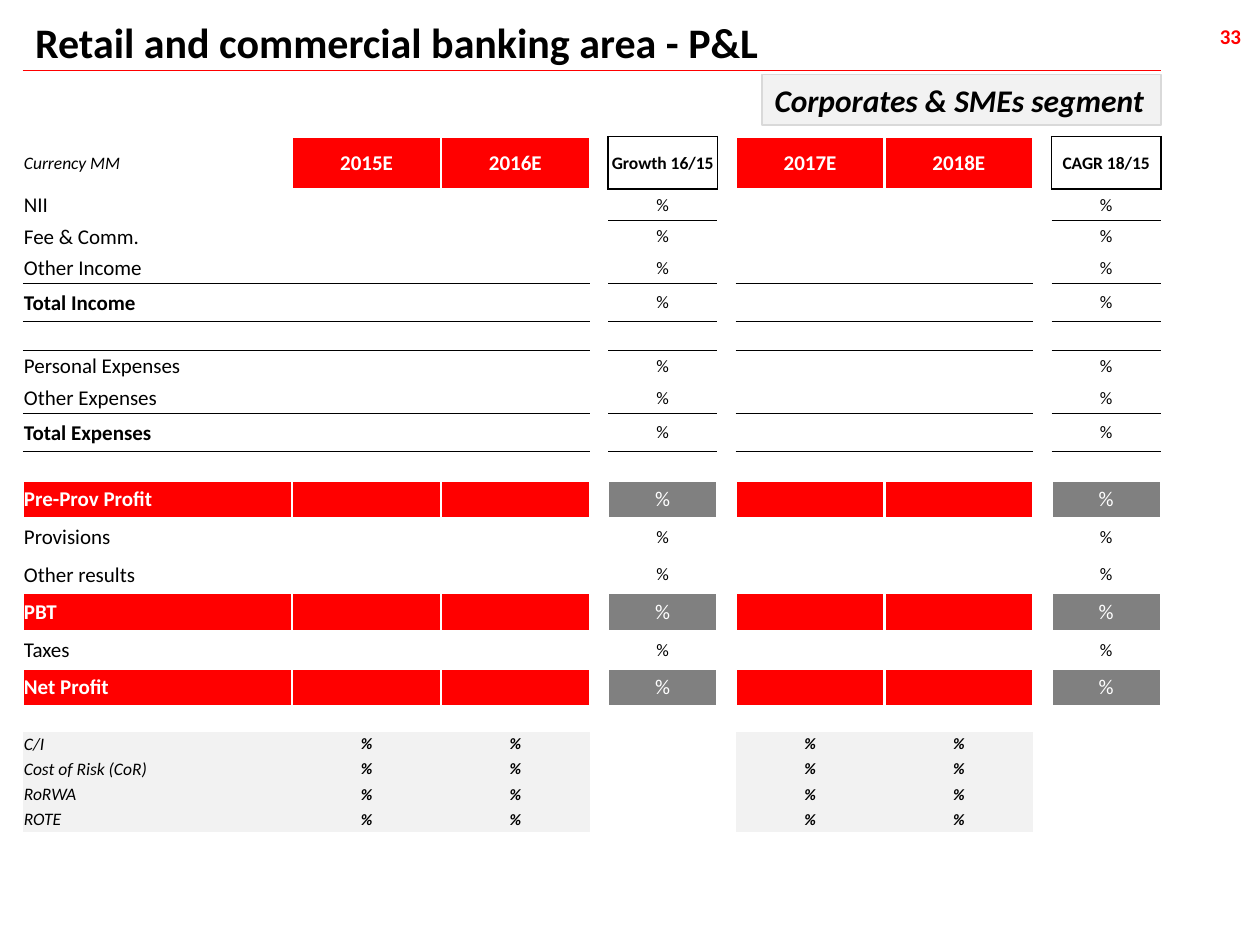
import pptx
import pptx.util
import pptx.dml.color
import pptx.enum.shapes
import pptx.enum.text
import pptx.oxml.ns
import lxml.etree

Pt = pptx.util.Pt
RGBColor = pptx.dml.color.RGBColor
ALIGN = pptx.enum.text.PP_ALIGN
ANCHOR = pptx.enum.text.MSO_ANCHOR
qn = pptx.oxml.ns.qn

RED = RGBColor(0xFF, 0x00, 0x00)
BLACK = RGBColor(0x00, 0x00, 0x00)
WHITE = RGBColor(0xFF, 0xFF, 0xFF)
GREY = RGBColor(0x80, 0x80, 0x80)
LIGHT = RGBColor(0xF2, 0xF2, 0xF2)
EDGE = RGBColor(0xD9, 0xD9, 0xD9)
FONT = "Calibri"
NO_STYLE = "{2D5ABB26-0587-4C30-8999-92F81FD0307C}"

LEFT, RIGHT = 13, 663.5
LABEL, YEARS, RATES = 0, (1, 2, 6, 7), (4, 9)
COL_WIDTHS = [154, 85, 85, 10.5, 62.5, 10.5, 85, 85, 10.5, 62.5]
HEADS = {1: "2015E", 2: "2016E", 4: "Growth 16/15",
         6: "2017E", 7: "2018E", 9: "CAGR 18/15"}

# Row kind, height, label
ROWS = [
    ("head", 30, "Currency MM"),
    ("item", 18, "NII"),
    ("item", 18, "Fee & Comm."),
    ("item", 18, "Other Income"),
    ("total", 21.5, "Total Income"),
    ("gap", 16.8, ""),
    ("item", 18, "Personal Expenses"),
    ("item", 18, "Other Expenses"),
    ("total", 21.5, "Total Expenses"),
    ("gap", 16.8, ""),
    ("profit", 21.5, "Pre-Prov Profit"),
    ("item", 21.5, "Provisions"),
    ("item", 21.5, "Other results"),
    ("profit", 21.5, "PBT"),
    ("item", 21.5, "Taxes"),
    ("profit", 21.5, "Net Profit"),
    ("gap", 14.4, ""),
    ("ratio", 14.4, "C/I"),
    ("ratio", 14.4, "Cost of Risk (CoR)"),
    ("ratio", 14.4, "RoRWA"),
    ("ratio", 14.4, "ROTE"),
]

# Side: row step, column step, matching side of the neighbour
SIDES = {"L": (0, -1, "R"), "R": (0, 1, "L"), "T": (-1, 0, "B"), "B": (1, 0, "T")}


def add_text(tf, text, size=12, color=BLACK, bold=False, italic=False, align=ALIGN.LEFT):
    p = tf.paragraphs[0]
    p.alignment = align
    r = p.add_run()
    r.text = text
    r.font.name = FONT
    r.font.size = Pt(size)
    r.font.bold = bold
    r.font.italic = italic
    r.font.color.rgb = color


def add_box(s, x, y, w, h, text, **fmt):
    sp = s.shapes.add_textbox(Pt(x), Pt(y), Pt(w), Pt(h))
    sp.text_frame.word_wrap = True
    add_text(sp.text_frame, text, **fmt)
    return sp


def add_rule(s, x1, x2, y):
    cn = s.shapes.add_connector(pptx.enum.shapes.MSO_CONNECTOR.STRAIGHT,
                                Pt(x1), Pt(y), Pt(x2), Pt(y))
    cn.line.color.rgb = RED
    cn.line.width = Pt(0.75)
    sp_pr = cn._element.find(qn("p:spPr"))
    lxml.etree.SubElement(sp_pr, qn("a:effectLst"))


def add_tag(s, x, y, w, h, text, **fmt):
    sp = s.shapes.add_shape(pptx.enum.shapes.MSO_SHAPE.RECTANGLE,
                            Pt(x), Pt(y), Pt(w), Pt(h))
    sp.shadow.inherit = False
    sp.fill.solid()
    sp.fill.fore_color.rgb = LIGHT
    sp.line.color.rgb = EDGE
    sp.line.width = Pt(0.75)
    sp.text_frame.word_wrap = False
    add_text(sp.text_frame, text, **fmt)


def cell_content(kind, col, label):
    """Text and format of a cell, or None where it is empty."""
    white = kind == "profit"
    if col == LABEL and label:
        small = kind in ("head", "ratio")
        return label, dict(size=10 if small else 12, italic=small,
                           bold=kind in ("total", "profit"),
                           color=WHITE if white else BLACK)
    if kind == "head" and col in HEADS:
        year = col in YEARS
        return HEADS[col], dict(size=12 if year else 10, bold=True, align=ALIGN.CENTER,
                                color=WHITE if year else BLACK)
    if kind in ("item", "total", "profit") and col in RATES:
        return "%", dict(size=12 if white else 10, align=ALIGN.CENTER,
                         color=WHITE if white else BLACK)
    if kind == "ratio" and col in YEARS:
        return "%", dict(size=9, bold=True, italic=True, align=ALIGN.CENTER)
    return None


def cell_fill(kind, col):
    if col in RATES:
        return GREY if kind == "profit" else None
    if kind == "head":
        return RED if col in YEARS else None
    if col == LABEL or col in YEARS:
        return {"profit": RED, "ratio": LIGHT}.get(kind)
    return None


def cell_border(kind, col):
    """Sides, colour and width of a cell's own border."""
    if kind == "head" and col in HEADS:
        return ("LRTB", BLACK, 1) if col in RATES else ("LRTB", WHITE, 1.5)
    if col == LABEL or col in YEARS + RATES:
        return {"total": ("TB", BLACK, 0.5),
                "profit": ("LRTB", WHITE, 1.5)}.get(kind, ("", None, 0))
    return "", None, 0


def collect_borders():
    """Give each border to both cells that share the edge."""
    edges = {}
    for i, (kind, _, _) in enumerate(ROWS):
        for j in range(len(COL_WIDTHS)):
            sides, color, width = cell_border(kind, j)
            for side in sides:
                di, dj, opposite = SIDES[side]
                edges[i, j, side] = edges[i + di, j + dj, opposite] = (color, width)
    return edges


def draw_border(cell, side, color, width):
    tc_pr = cell._tc.get_or_add_tcPr()
    ln = lxml.etree.SubElement(tc_pr, qn("a:ln" + side), w=str(int(Pt(width))))
    fill = lxml.etree.SubElement(ln, qn("a:solidFill"))
    lxml.etree.SubElement(fill, qn("a:srgbClr"), val=str(color))


def add_pl_table(s, x, y):
    shape = s.shapes.add_table(len(ROWS), len(COL_WIDTHS), Pt(x), Pt(y),
                               Pt(sum(COL_WIDTHS)), Pt(sum(row[1] for row in ROWS)))
    table = shape.table
    table.first_row = table.horz_banding = False
    table._tbl.tblPr.find(qn("a:tableStyleId")).text = NO_STYLE
    for column, width in zip(table.columns, COL_WIDTHS):
        column.width = Pt(width)
    edges = collect_borders()
    for i, (kind, height, label) in enumerate(ROWS):
        table.rows[i].height = Pt(height)
        for j in range(len(COL_WIDTHS)):
            cell = table.cell(i, j)
            cell.vertical_anchor = ANCHOR.MIDDLE
            cell.margin_left = cell.margin_right = cell.margin_top = Pt(0.7)
            cell.margin_bottom = 0
            for side in SIDES:
                if (i, j, side) in edges:
                    draw_border(cell, side, *edges[i, j, side])
            color = cell_fill(kind, j)
            if color is None:
                cell.fill.background()
            else:
                cell.fill.solid()
                cell.fill.fore_color.rgb = color
            content = cell_content(kind, j, label)
            if content:
                add_text(cell.text_frame, content[0], **content[1])
            else:  # keeps empty cells from stretching the row
                p = cell.text_frame.paragraphs[0]
                lxml.etree.SubElement(p._p, qn("a:endParaRPr"), sz="900")


def main():
    prs = pptx.Presentation()
    prs.slide_width, prs.slide_height = Pt(720), Pt(540)
    s = prs.slides.add_slide(prs.slide_layouts[6])

    # Heading and page number
    number = add_box(s, 683.3, 10, 30.2, 22.3, "33", color=RED, bold=True, align=ALIGN.RIGHT)
    number.text_frame.margin_left = number.text_frame.margin_right = Pt(4.3)
    add_box(s, LEFT, 5.8, 689, 36, "Retail and commercial banking area - P&L",
            size=24, bold=True)
    add_rule(s, LEFT, RIGHT, 40.3)
    add_tag(s, 435.5, 42.5, RIGHT - 435.5, 29, "Corporates & SMEs segment",
            size=18, bold=True, italic=True)

    # P&L table
    add_pl_table(s, LEFT, 78)

    prs.save("out.pptx")


if __name__ == "__main__":
    main()
